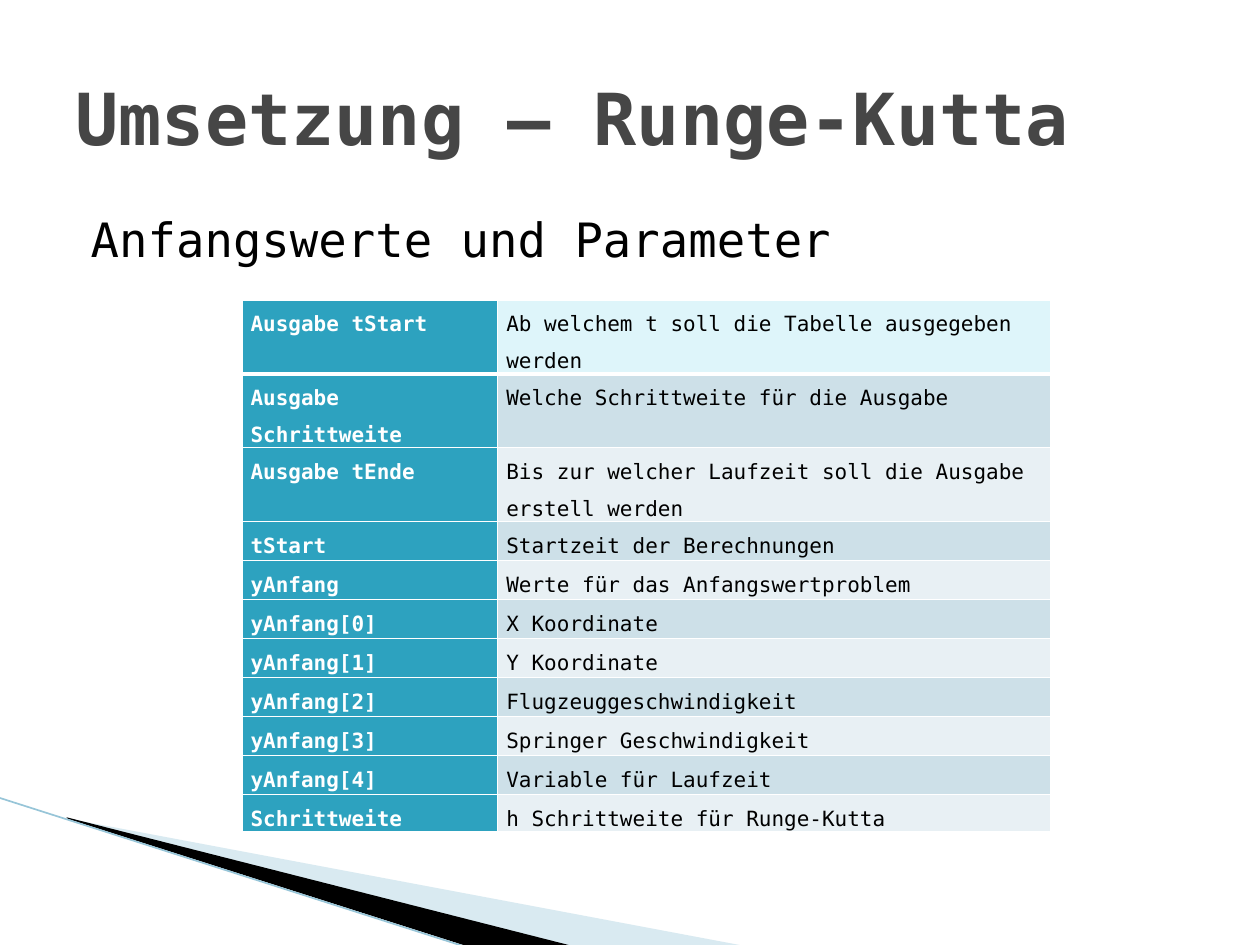
import dataclasses

import lxml.etree
import pptx
import pptx.dml.color
import pptx.enum.shapes
import pptx.enum.text
import pptx.oxml.ns
import pptx.util

FONT = "DejaVu Sans Mono"
COLORS = {
    "black": "000000",
    "white": "FFFFFF",
    "title": "464646",
    "label": "2DA2BF",
    "first_row": "DEF5FA",
    "dark_band": "CDE0E8",
    "light_band": "E8F0F4",
    "pale_wedge": "A0CBDC",
    "edge": "97C5D8",
}


@dataclasses.dataclass
class Wedge:
    points: list[tuple[float, float]]
    color: str
    opacity: int = 100


@dataclasses.dataclass
class Parameter:
    name: str
    meaning: str
    height: float = 22.3


WEDGES = [
    Wedge([(39.6, 468.5), (428.4, 540.7), (328.3, 540.7), (39.6, 468)], "pale_wedge", 40),
    Wedge([(38.2, 467.3), (329, 540.7), (267.8, 541.4), (38.9, 468)], "black"),
]

PARAMETERS = [
    Parameter("Ausgabe tStart", "Ab welchem t soll die Tabelle ausgegeben werden", 20.9),
    Parameter("Ausgabe Schrittweite", "Welche Schrittweite für die Ausgabe"),
    Parameter("Ausgabe tEnde", "Bis zur welcher Laufzeit soll die Ausgabe erstell werden", 18),
    Parameter("tStart", "Startzeit der Berechnungen"),
    Parameter("yAnfang", "Werte für das Anfangswertproblem"),
    Parameter("yAnfang[0]", "X Koordinate"),
    Parameter("yAnfang[1]", "Y Koordinate"),
    Parameter("yAnfang[2]", "Flugzeuggeschwindigkeit"),
    Parameter("yAnfang[3]", "Springer Geschwindigkeit"),
    Parameter("yAnfang[4]", "Variable für Laufzeit"),
    Parameter("Schrittweite", "h Schrittweite für Runge-Kutta", 4.3),
]


def rgb(color: str) -> pptx.dml.color.RGBColor:
    return pptx.dml.color.RGBColor.from_string(COLORS[color])


def place(shape, left: float, top: float, width: float, height: float) -> None:
    shape.left, shape.top = pptx.util.Pt(left), pptx.util.Pt(top)
    shape.width, shape.height = pptx.util.Pt(width), pptx.util.Pt(height)


def set_text(text_frame, text: str, size: float, color: str, bold: bool = False):
    text_frame.text = text
    paragraph = text_frame.paragraphs[0]
    paragraph.alignment = pptx.enum.text.PP_ALIGN.LEFT
    font = paragraph.runs[0].font
    font.name, font.size, font.bold = FONT, pptx.util.Pt(size), bold
    font.color.rgb = rgb(color)
    return paragraph


def draw_wedge(slide, wedge: Wedge) -> None:
    builder = slide.shapes.build_freeform(*wedge.points[0], scale=pptx.util.Pt(1))
    builder.add_line_segments(wedge.points[1:], close=True)
    shape = builder.convert_to_shape()
    shape.shadow.inherit = False
    shape.line.fill.background()
    shape.fill.solid()
    shape.fill.fore_color.rgb = rgb(wedge.color)
    if wedge.opacity < 100:
        color = shape.fill._xPr.find(".//" + pptx.oxml.ns.qn("a:srgbClr"))
        alpha = lxml.etree.SubElement(color, pptx.oxml.ns.qn("a:alpha"))
        alpha.set("val", str(wedge.opacity * 1000))


def draw_edge(slide) -> None:
    ends = [pptx.util.Pt(value) for value in (-0.7, 455.8, 267.1, 541.4)]
    line = slide.shapes.add_connector(pptx.enum.shapes.MSO_CONNECTOR.STRAIGHT, *ends)
    line.line.color.rgb = rgb("edge")
    line.line.width = pptx.util.Pt(0.95)
    lxml.etree.SubElement(line._element.spPr, pptx.oxml.ns.qn("a:effectLst"))


def set_borders(cell, widths: dict[str, float]) -> None:
    properties = cell._tc.get_or_add_tcPr()
    for index, (side, width) in enumerate(widths.items()):
        border = lxml.etree.Element(pptx.oxml.ns.qn(f"a:ln{side}"))
        border.set("w", str(pptx.util.Pt(width)))
        fill = lxml.etree.SubElement(border, pptx.oxml.ns.qn("a:solidFill"))
        color = lxml.etree.SubElement(fill, pptx.oxml.ns.qn("a:srgbClr"))
        color.set("val", COLORS["white"])
        properties.insert(index, border)


def fill_cell(cell, text: str, fill: str, color: str, bold: bool, row: int) -> None:
    cell.margin_left = cell.margin_right = pptx.util.Pt(5)
    cell.margin_top = cell.margin_bottom = 0
    paragraph = set_text(cell.text_frame, text, 12, color, bold)
    paragraph.line_spacing = 1.5
    paragraph.space_before = pptx.util.Pt(6)
    cell.fill.solid()
    cell.fill.fore_color.rgb = rgb(fill)
    top, bottom = (3 if row == 1 else 1), (3 if row == 0 else 1)
    set_borders(cell, {"L": 1, "R": 1, "T": top, "B": bottom})


def draw_table(slide, parameters: list[Parameter]) -> None:
    box = (138.2, 171.4, 462.2, 265)
    lengths = [pptx.util.Pt(value) for value in box]
    frame = slide.shapes.add_table(len(parameters), 2, *lengths)
    table = frame.table
    for column, width in zip(table.columns, (146.2, 316)):
        column.width = pptx.util.Pt(width)
    for row, parameter in enumerate(parameters):
        table.rows[row].height = pptx.util.Pt(parameter.height)
        band = "first_row" if row == 0 else ("light_band", "dark_band")[row % 2]
        fill_cell(table.cell(row, 0), parameter.name, "label", "white", True, row)
        fill_cell(table.cell(row, 1), parameter.meaning, band, "black", False, row)
    place(frame, *box)


def main() -> None:
    presentation = pptx.Presentation()
    presentation.slide_width = pptx.util.Pt(720)
    presentation.slide_height = pptx.util.Pt(540)
    slide = presentation.slides.add_slide(presentation.slide_layouts[1])

    # Corner decoration
    for wedge in WEDGES:
        draw_wedge(slide, wedge)
    draw_edge(slide)

    # Title and subheading
    title, body = slide.placeholders
    place(title, 36, 21.6, 648, 90)
    set_text(title.text_frame, "Umsetzung – Runge-Kutta", 41, "title", True)
    title.text_frame.vertical_anchor = pptx.enum.text.MSO_ANCHOR.MIDDLE

    place(body, 36, 116.6, 648, 356.4)
    heading = set_text(body.text_frame, "Anfangswerte und Parameter", 27, "black")
    heading.space_before = pptx.util.Pt(4)
    properties = heading._p.get_or_add_pPr()
    properties.set("marL", str(pptx.util.Pt(8.64)))
    properties.set("indent", "0")
    lxml.etree.SubElement(properties, pptx.oxml.ns.qn("a:buNone"))

    # Parameter table
    draw_table(slide, PARAMETERS)

    presentation.save("out.pptx")


if __name__ == "__main__":
    main()
